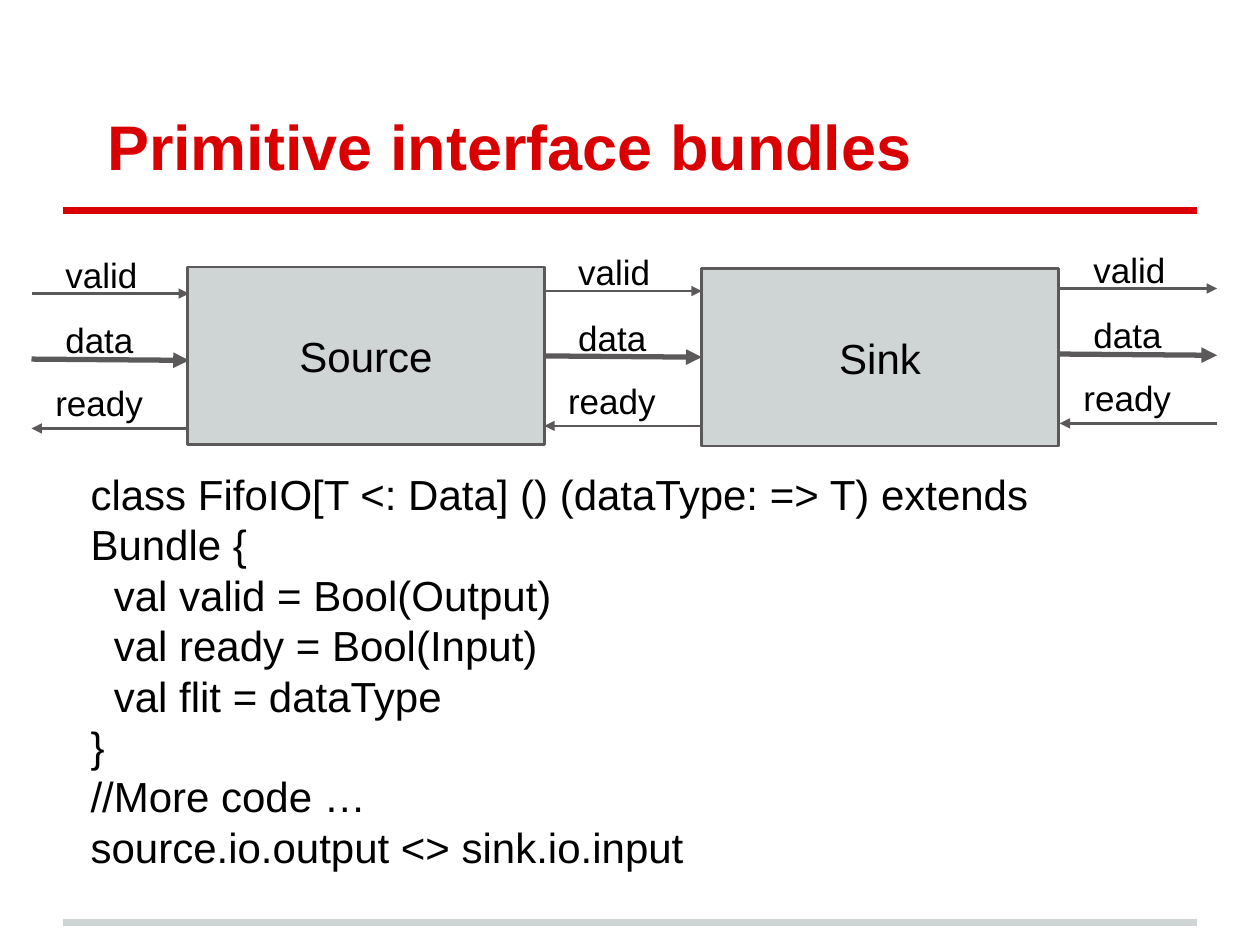
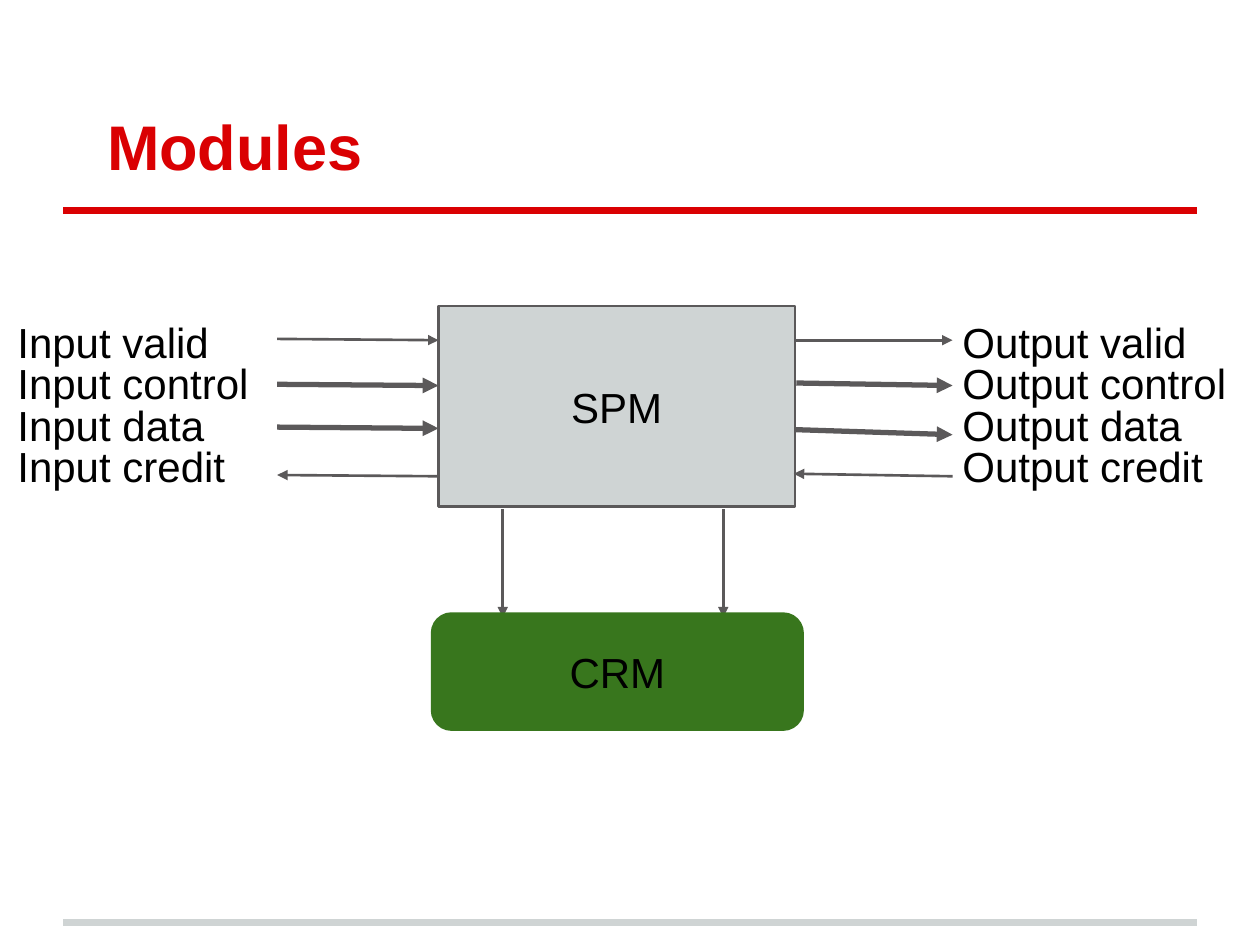
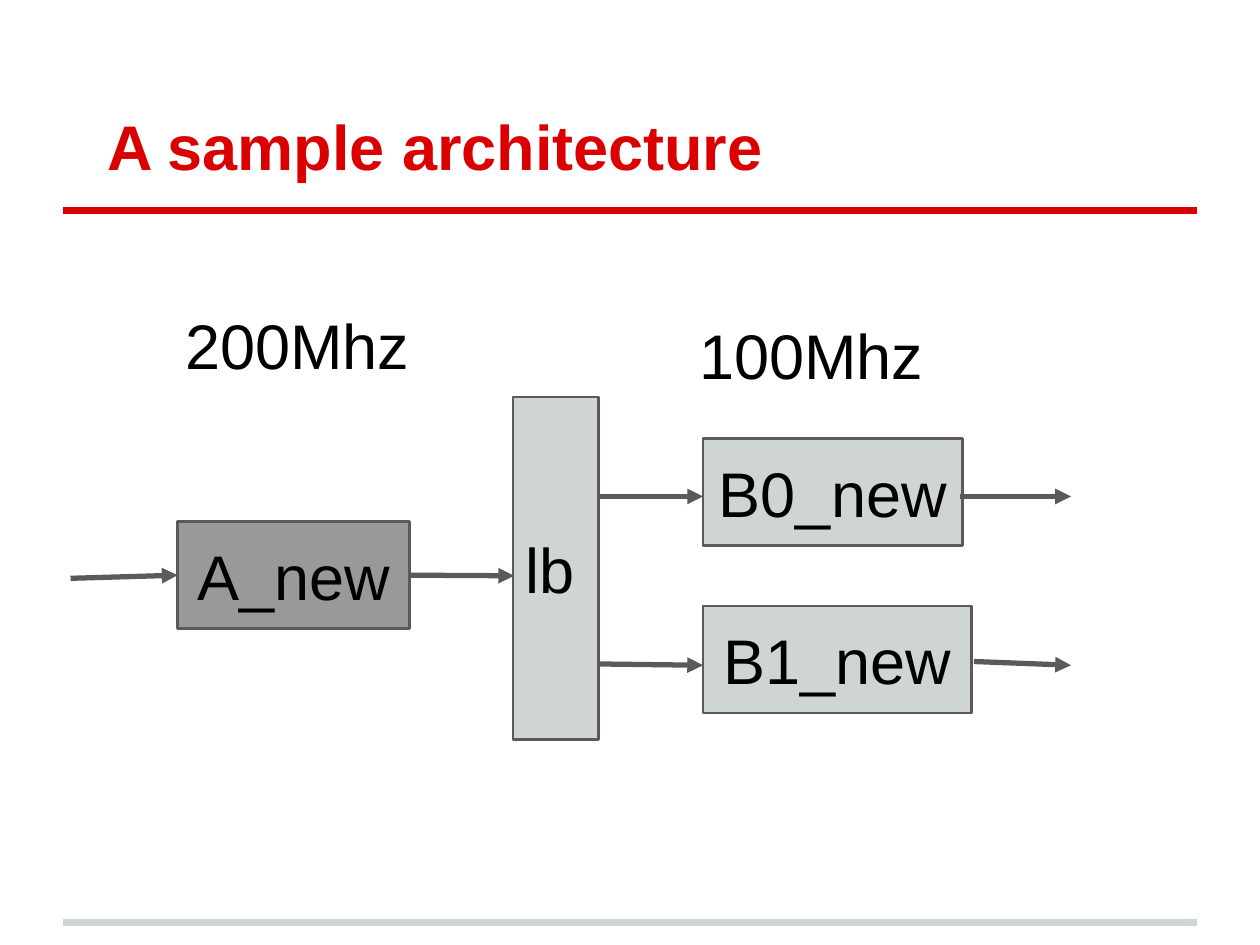
from dataclasses import dataclass

import pptx
import pptx.dml.color
import pptx.enum.shapes
import pptx.enum.text
import pptx.oxml
import pptx.oxml.ns
import pptx.util
from pptx.util import Inches

SHAPE = pptx.enum.shapes.MSO_SHAPE
ANCHOR = pptx.enum.text.MSO_ANCHOR
ALIGN = pptx.enum.text.PP_ALIGN
A_NS = pptx.oxml.ns.nsdecls("a")


@dataclass(frozen=True)
class Theme:
    font: str = "Arial"
    red: str = "DA0002"
    silver: str = "CFD4D4"
    gray: str = "999999"
    green: str = "38761D"
    outline: str = "5B595A"
    ink: str = "000000"
    large: int = 36
    body: int = 24
    small: int = 20
    thin: float = 1.5
    thick: float = 3
    band: float = 4


THEME = Theme()

BUNDLE_TITLE = "Primitive interface bundles"
FIFO_CODE = [
    "class FifoIO[T <: Data] () (dataType: => T) extends Bundle {",
    "  val valid = Bool(Output)",
    "  val ready = Bool(Input)",
    "  val flit = dataType",
    "}",
    "//More code …",
    "source.io.output <> sink.io.input",
]
BUNDLE_BLOCKS = {"Source": (1.49, 2.12, 2.83, 1.41), "Sink": (5.57, 2.13, 2.83, 1.41)}
CHANNELS = [(0.25, 2.33), (4.32, 2.31), (8.41, 2.29)]
CHANNEL_WIDTH = 1.25
CHANNEL_SIGNALS = [
    ("valid", (0.17, -0.37), (0, 0), False),
    ("data", (0.17, 0.15), (0.52, 0.53), False),
    ("ready", (0.09, 0.65), (1.07, 1.07), True),
]

MODULES_TITLE = "Modules"
SIGNALS = ["valid", "control", "data", "credit"]
SIGNAL_TOP, SIGNAL_STEP = 2.41, 0.33
SIGNAL_COLUMNS = [("Input", 0.04, 2.1), ("Output", 7.54, 2.4)]
MODULE_ARROWS = [
    ((2.2, 2.69), (3.48, 2.7), THEME.thin),
    ((2.2, 3.05), (3.48, 3.06), THEME.thick),
    ((2.2, 3.39), (3.48, 3.4), THEME.thick),
    ((3.48, 3.78), (2.2, 3.77), THEME.thin),
    ((6.32, 2.7), (7.56, 2.7), THEME.thin),
    ((6.32, 3.04), (7.56, 3.06), THEME.thick),
    ((6.31, 3.41), (7.56, 3.45), THEME.thick),
    ((7.56, 3.78), (6.3, 3.76), THEME.thin),
    ((3.99, 4.04), (3.99, 4.9), THEME.thin),
    ((5.74, 4.04), (5.74, 4.9), THEME.thin),
]

ARCHITECTURE_TITLE = "A sample architecture"
ARCHITECTURE_BLOCKS = [
    ("A_new", (1.41, 4.14, 1.84, 0.85), THEME.gray, ALIGN.CENTER),
    ("B0_new", (5.58, 3.48, 2.06, 0.85), THEME.silver, ALIGN.CENTER),
    ("B1_new", (5.58, 4.81, 2.13, 0.85), THEME.silver, ALIGN.CENTER),
    ("lb", (4.07, 3.15, 0.68, 2.72), THEME.silver, ALIGN.LEFT),
]
ARCHITECTURE_ARROWS = [
    ((0.56, 4.59), (1.41, 4.57), None, ("A_new", 1)),
    ((3.25, 4.57), (4.08, 4.57), ("A_new", 3), None),
    ((4.76, 3.94), (5.58, 3.94), None, None),
    ((4.76, 5.27), (5.58, 5.28), None, None),
    ((7.62, 3.94), (8.5, 3.94), None, None),
    ((7.73, 5.25), (8.5, 5.28), None, None),
]
CLOCKS = [("200Mhz", 1.37, 2.33), ("100Mhz", 5.45, 2.41)]


def rgb(color):
    return pptx.dml.color.RGBColor.from_string(color)


def write(shape, lines, size, color=THEME.ink, bold=False, align=ALIGN.LEFT,
          anchor=ANCHOR.TOP, inset=0.1, left_inset=0.1):
    frame = shape.text_frame
    frame.word_wrap = True
    frame.vertical_anchor = anchor
    frame.margin_left, frame.margin_right = Inches(left_inset), Inches(0.1)
    frame.margin_top = frame.margin_bottom = Inches(inset)
    for index, line in enumerate(lines):
        para = frame.add_paragraph() if index else frame.paragraphs[0]
        para.add_run().text = line
        para.alignment = align
        para.font.name, para.font.size, para.font.bold = THEME.font, pptx.util.Pt(size), bold
        para.font.color.rgb = rgb(color)


def add_text(page, lines, place, size, **style):
    box = page.shapes.add_textbox(*map(Inches, place))
    write(box, lines, size, **style)


def add_block(page, label, place, size=THEME.body, fill=THEME.silver,
              outline=THEME.outline, kind=SHAPE.RECTANGLE, align=ALIGN.CENTER):
    block = page.shapes.add_shape(kind, *map(Inches, place))
    block.shadow.inherit = False
    block.fill.solid()
    block.fill.fore_color.rgb = rgb(fill)
    block.line.color.rgb = rgb(outline)
    block.line.width = pptx.util.Pt(THEME.thin)
    write(block, [label], size, align=align, anchor=ANCHOR.MIDDLE)
    return block


def add_line(page, start, end, width, color=THEME.outline):
    line = page.shapes.add_connector(
        pptx.enum.shapes.MSO_CONNECTOR.STRAIGHT, *map(Inches, (*start, *end)))
    line.line.color.rgb = rgb(color)
    line.line.width = pptx.util.Pt(width)
    line._element.spPr.append(pptx.oxml.parse_xml(f"<a:effectLst {A_NS}/>"))
    return line


def add_arrow(page, start, end, width, source=None, target=None):
    arrow = add_line(page, start, end, width)
    arrow.line._get_or_add_ln().append(
        pptx.oxml.parse_xml(f'<a:tailEnd {A_NS} type="triangle"/>'))
    if source:
        arrow.begin_connect(*source)
    if target:
        arrow.end_connect(*target)


def add_page(deck, title):
    page = deck.slides.add_slide(deck.slide_layouts[6])
    for y, color in ((7.32, THEME.silver), (1.67, THEME.red)):
        add_line(page, (0.5, y), (9.5, y), THEME.band, color)
    add_text(page, [title], (0.5, 0.3, 9, 1.25), THEME.large, color=THEME.red,
             bold=True, anchor=ANCHOR.BOTTOM, left_inset=0.35)
    return page


def build_bundles(deck):
    page = add_page(deck, BUNDLE_TITLE)
    blocks = {name: add_block(page, name, place) for name, place in BUNDLE_BLOCKS.items()}
    for index, (x, y) in enumerate(CHANNELS):
        for name, (dx, dy), (start_dy, end_dy), backward in CHANNEL_SIGNALS:
            start, end = (x, y + start_dy), (x + CHANNEL_WIDTH, y + end_dy)
            if backward:
                start, end = end, start
            is_data = name == "data"
            joined = is_data and index == 1
            add_arrow(page, start, end, THEME.thick if is_data else THEME.thin,
                      (blocks["Source"], 3) if joined else None,
                      (blocks["Sink"], 1) if joined else None)
            add_text(page, [name], (x + dx, y + dy, 1.08 if backward else 0.83, 0.44),
                     THEME.small, inset=0.05)
    add_text(page, FIFO_CODE, (0.62, 3.67, 8.58, 3.33), THEME.body, inset=0.05)


def build_modules(deck):
    page = add_page(deck, MODULES_TITLE)
    add_block(page, "SPM", (3.48, 2.43, 2.83, 1.59))
    for start, end, width in MODULE_ARROWS:
        add_arrow(page, start, end, width)
    add_block(page, "CRM", (3.43, 4.87, 2.94, 0.92), fill=THEME.green,
              outline=THEME.green, kind=SHAPE.ROUNDED_RECTANGLE)
    for side, x, width in SIGNAL_COLUMNS:
        for row, signal in enumerate(SIGNALS):
            add_text(page, [f"{side} {signal}"],
                     (x, SIGNAL_TOP + row * SIGNAL_STEP, width, 0.63), THEME.body)


def build_architecture(deck):
    page = add_page(deck, ARCHITECTURE_TITLE)
    blocks = {name: add_block(page, name, place, THEME.large, fill, align=align)
              for name, place, fill, align in ARCHITECTURE_BLOCKS}
    for start, end, *joints in ARCHITECTURE_ARROWS:
        joints = [joint and (blocks[joint[0]], joint[1]) for joint in joints]
        add_arrow(page, start, end, THEME.thick, *joints)
    for clock, x, y in CLOCKS:
        add_text(page, [clock], (x, y, 2.22, 0.43), THEME.large)


def main():
    deck = pptx.Presentation()
    deck.slide_width, deck.slide_height = Inches(10), Inches(7.5)
    build_bundles(deck)
    build_modules(deck)
    build_architecture(deck)
    deck.save("out.pptx")


if __name__ == "__main__":
    main()
